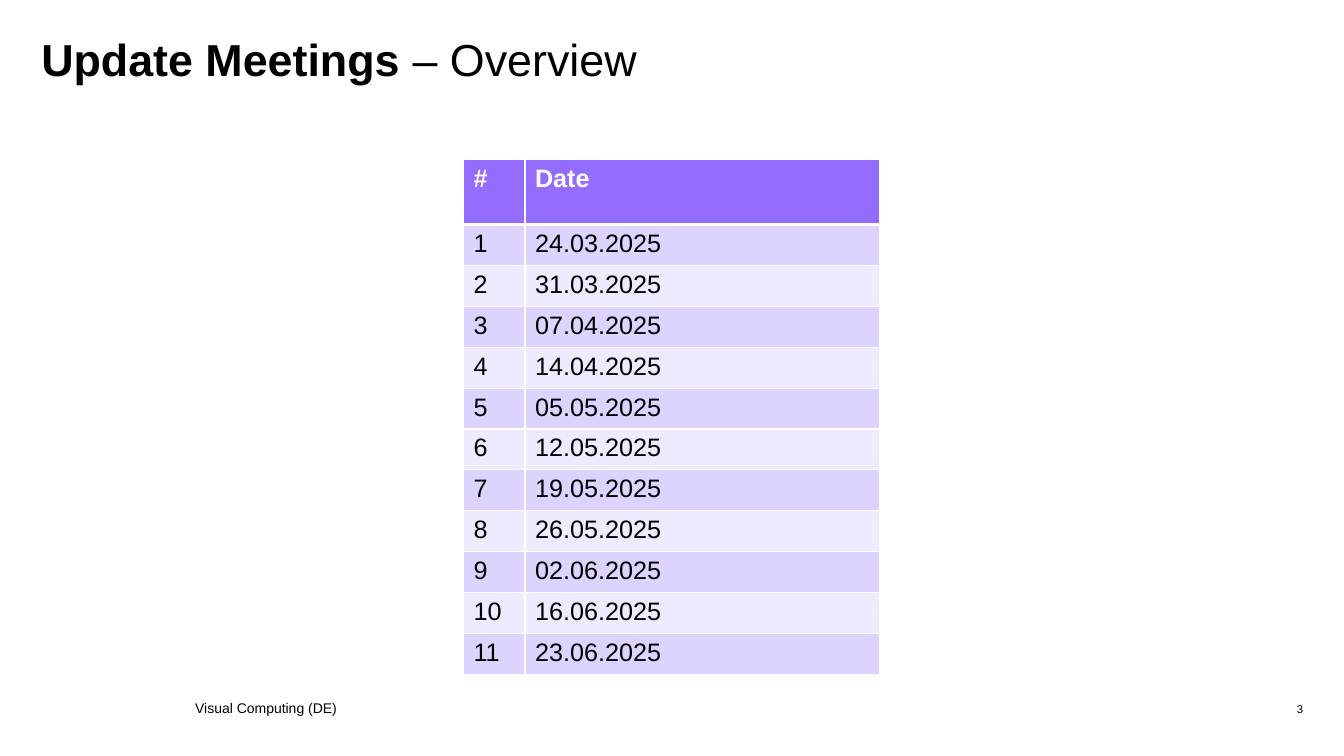
"""Build the overview slide of the update meetings."""
from dataclasses import dataclass

from pptx import Presentation
from pptx.dml.color import RGBColor
from pptx.enum.text import MSO_ANCHOR, MSO_AUTO_SIZE, PP_ALIGN
from pptx.oxml.ns import qn
from pptx.util import Cm, Pt
from lxml.etree import SubElement

LEFT, RIGHT = PP_ALIGN.LEFT, PP_ALIGN.RIGHT
TOP, MIDDLE = MSO_ANCHOR.TOP, MSO_ANCHOR.MIDDLE
FIXED = MSO_AUTO_SIZE.NONE

TITLE = [("Update Meetings ", True), ("– Overview", False)]
HEAD = ("#", "Date")
DATES = [
    "24.03.2025", "31.03.2025", "07.04.2025", "14.04.2025",
    "05.05.2025", "12.05.2025", "19.05.2025", "26.05.2025",
    "02.06.2025", "16.06.2025", "23.06.2025",
]
FOOTER = "Visual Computing (DE)"
NUMBER = "3"

SIZE = (33.87, 19.05)
TITLE_BOX = (1.04, 0.94, 31.8, 2.49)
NUMBER_BOX = (29.29, 17.55, 3.55, 0.61)
FOOTER_BOX = (4.67, 17.53, 10.92, 0.64)
TABLE_AT = (11.68, 4.02)
COLS = (1.55, 8.94)
HEAD_TALL, ROW_TALL = 1.64, 1.03


@dataclass(frozen=True)
class Theme:
    font: str = "Arial"
    ink: str = "000000"
    paper: str = "FFFFFF"
    head: str = "946CFF"
    bands: tuple = ("DCD4FF", "EEEBFF")
    title: int = 32
    table: int = 18
    footer: int = 10
    number: int = 8


THEME = Theme()


def write(frame, runs, size, color=THEME.ink, align=LEFT, anchor=TOP,
          inset=None, spacing=None):
    """Fill a text frame with (text, bold) runs."""
    frame.word_wrap = True
    frame.vertical_anchor = anchor
    if inset is not None:
        frame.margin_left = frame.margin_right = Cm(inset)
        frame.margin_top = frame.margin_bottom = Cm(inset)
    para = frame.paragraphs[0]
    para.alignment = align
    para.line_spacing = spacing
    for text, bold in runs:
        run = para.add_run()
        run.text = text
        font = run.font
        font.name, font.size, font.bold = THEME.font, Pt(size), bold
        font.color.rgb = RGBColor.from_string(color)


def edge(cell, widths):
    """Draw the cell borders, given side tags with widths in points."""
    props = cell._tc.get_or_add_tcPr()
    for spot, (side, width) in enumerate(widths.items()):
        line = props.makeelement(qn(f"a:{side}"), {"w": str(Pt(width))})
        fill = SubElement(line, qn("a:solidFill"))
        SubElement(fill, qn("a:srgbClr"), val=THEME.paper)
        props.insert(spot, line)


def add_title(slide):
    """Place and fill the title placeholder."""
    title = slide.shapes.title
    title.left, title.top, title.width, title.height = map(Cm, TITLE_BOX)
    title.text_frame.auto_size = FIXED
    write(title.text_frame, TITLE, THEME.title, inset=0, spacing=0.9)


def add_dates(slide):
    """Add the table of numbered dates."""
    rows = [HEAD] + [(str(n), date) for n, date in enumerate(DATES, 1)]
    tall = [HEAD_TALL] + [ROW_TALL] * len(DATES)
    box = (*TABLE_AT, sum(COLS), sum(tall))
    table = slide.shapes.add_table(len(rows), len(COLS), *map(Cm, box)).table
    for col, width in zip(table.columns, COLS):
        col.width = Cm(width)
    for r, row in enumerate(rows):
        table.rows[r].height = Cm(tall[r])
        is_head = r == 0
        fill = THEME.head if is_head else THEME.bands[(r - 1) % 2]
        color = THEME.paper if is_head else THEME.ink
        for c, text in enumerate(row):
            cell = table.cell(r, c)
            cell.fill.solid()
            cell.fill.fore_color.rgb = RGBColor.from_string(fill)
            write(cell.text_frame, [(text, is_head)], THEME.table, color)
            edge(cell, {"lnL": 1, "lnR": 1, "lnT": 3 if r == 1 else 1,
                        "lnB": 3 if is_head else 1})


def add_note(slide, box, text, size, **style):
    """Add one small line at the foot of the slide."""
    frame = slide.shapes.add_textbox(*map(Cm, box)).text_frame
    write(frame, [(text, False)], size, anchor=MIDDLE, **style)


def main():
    """Build and save the deck."""
    deck = Presentation()
    deck.slide_width, deck.slide_height = map(Cm, SIZE)
    slide = deck.slides.add_slide(deck.slide_layouts.get_by_name("Title Only"))
    add_title(slide)
    add_note(slide, NUMBER_BOX, NUMBER, THEME.number, align=RIGHT, inset=0)
    add_note(slide, FOOTER_BOX, FOOTER, THEME.footer)
    add_dates(slide)
    deck.save("out.pptx")


if __name__ == "__main__":
    main()
